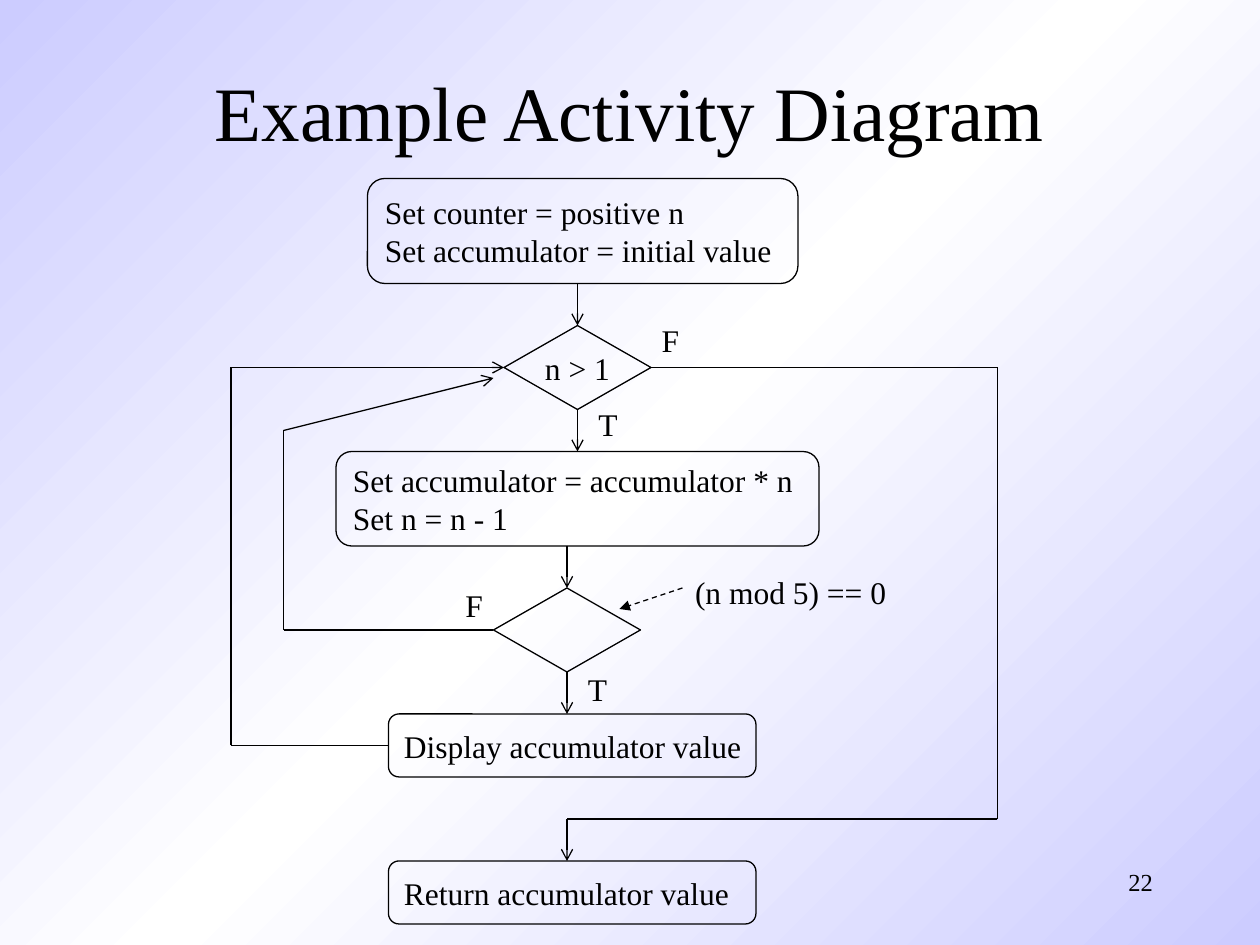
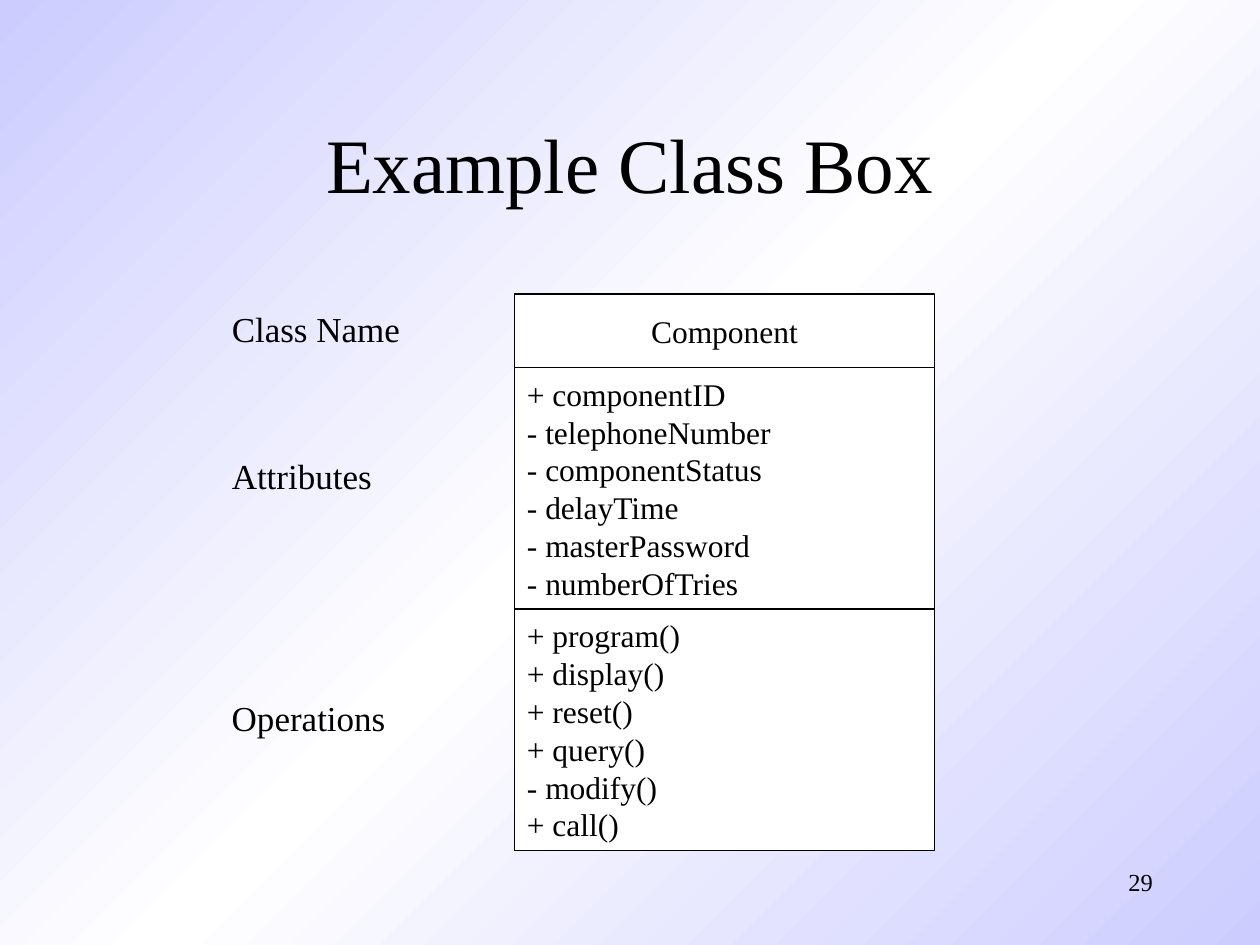
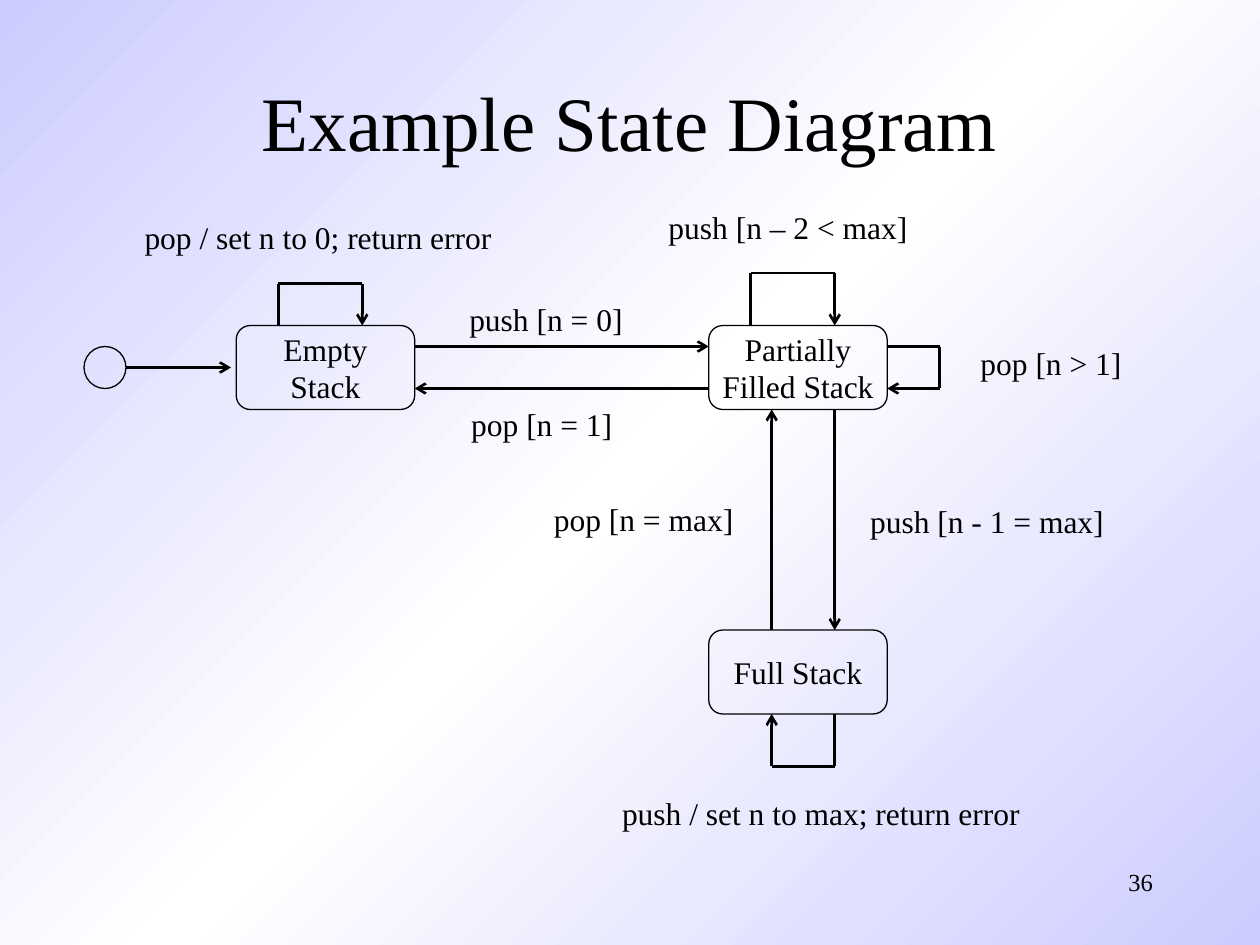
from copy import deepcopy
from dataclasses import dataclass
from itertools import pairwise

import lxml.etree
import pptx
import pptx.dml.color
import pptx.enum.dml
import pptx.enum.shapes
import pptx.enum.text
import pptx.oxml.ns
import pptx.presentation
import pptx.shapes.base
import pptx.slide
import pptx.text.text
import pptx.util

RGBColor = pptx.dml.color.RGBColor
Shape = pptx.enum.shapes.MSO_SHAPE
Align = pptx.enum.text.PP_ALIGN
Anchor = pptx.enum.text.MSO_ANCHOR
AutoSize = pptx.enum.text.MSO_AUTO_SIZE
qn = pptx.oxml.ns.qn

BLACK = RGBColor(0x00, 0x00, 0x00)
WHITE = RGBColor(0xFF, 0xFF, 0xFF)
LAVENDER = RGBColor(0xCC, 0xCC, 0xFF)
FONT = "Times New Roman"

WIDTH, HEIGHT = pptx.util.Inches(10), pptx.util.Inches(7.5)
COLUMNS, ROWS = 120, 90
Point = tuple[float, float]


@dataclass(frozen=True)
class Node:
    kind: Shape
    col: float
    row: float
    cols: float
    rows: float
    text: str = ""
    align: Align = Align.CENTER
    fill: RGBColor | None = None


@dataclass(frozen=True)
class Label:
    text: str
    col: float
    row: float
    cols: float
    size: int = 18
    rows: float = 4.8


@dataclass(frozen=True)
class Route:
    points: tuple[Point, ...]
    arrow: str = "arrow"
    dashed: bool = False


def x(col: float) -> int:
    return round(WIDTH * col / COLUMNS)


def y(row: float) -> int:
    return round(HEIGHT * row / ROWS)


def area(col: float, row: float, cols: float, rows: float) -> tuple[int, int, int, int]:
    return x(col), y(row), x(cols), y(rows)


def write(tf: pptx.text.text.TextFrame, text: str, *, size: int = 18,
          align: Align = Align.CENTER, anchor: Anchor = Anchor.MIDDLE,
          wrap: bool = False, auto_size: AutoSize = AutoSize.NONE) -> None:
    tf.text = text
    tf.word_wrap = wrap
    tf.auto_size = auto_size
    tf.vertical_anchor = anchor
    for p in tf.paragraphs:
        p.alignment = align
        for r in p.runs:
            r.font.name = FONT
            r.font.size = pptx.util.Pt(size)
            r.font.color.rgb = BLACK


def paint_background(master: pptx.slide.SlideMaster) -> None:
    fill = master.background.fill
    fill.gradient()
    fill.gradient_angle = 315
    stops = next(master.element.iter(qn("a:gsLst")))
    stops.append(deepcopy(stops[0]))
    for stop, position, color in zip(fill.gradient_stops, (0, 0.5, 1),
                                     (LAVENDER, WHITE, LAVENDER)):
        stop.position = position
        stop.color.rgb = color


def add_slide(prs: pptx.presentation.Presentation, title: str,
              title_row: float, number: int) -> pptx.slide.Slide:
    slide = prs.slides.add_slide(prs.slide_layouts[5])
    sp = slide.shapes.title
    sp.left, sp.top, sp.width, sp.height = area(9, title_row, 102, 15)
    write(sp.text_frame, title, size=44, wrap=True)
    sp = slide.shapes.add_textbox(*area(86, 82, 25, 6))
    write(sp.text_frame, str(number), size=14, align=Align.RIGHT,
          anchor=Anchor.TOP, wrap=True)
    return slide


def draw_node(shapes, node: Node) -> pptx.shapes.base.BaseShape:
    sp = shapes.add_shape(node.kind, *area(node.col, node.row, node.cols, node.rows))
    sp.shadow.inherit = False
    if node.fill is None:
        sp.fill.background()
    else:
        sp.fill.solid()
        sp.fill.fore_color.rgb = node.fill
    sp.line.color.rgb = BLACK
    sp.line.width = pptx.util.Pt(0.75)
    if node.text:
        write(sp.text_frame, node.text, align=node.align)
    return sp


def draw_label(slide: pptx.slide.Slide, label: Label) -> None:
    sp = slide.shapes.add_textbox(*area(label.col, label.row, label.cols, label.rows))
    write(sp.text_frame, label.text, size=label.size, anchor=Anchor.TOP,
          auto_size=AutoSize.SHAPE_TO_FIT_TEXT)


def side_middles(node: Node) -> tuple[Point, ...]:
    middle, centre = node.col + node.cols / 2, node.row + node.rows / 2
    return ((middle, node.row), (node.col, centre),
            (middle, node.row + node.rows), (node.col + node.cols, centre))


def draw_route(slide: pptx.slide.Slide, route: Route, weight: float, joints: dict) -> None:
    for start, end in pairwise(route.points):
        line = slide.shapes.add_connector(
            pptx.enum.shapes.MSO_CONNECTOR.STRAIGHT,
            x(start[0]), y(start[1]), x(end[0]), y(end[1]))
        if start in joints:
            line.begin_connect(*joints[start])
        if end in joints:
            line.end_connect(*joints[end])
        line.line.color.rgb = BLACK
        line.line.width = pptx.util.Pt(weight)
        if route.dashed:
            line.line.dash_style = pptx.enum.dml.MSO_LINE.DASH
        if end == route.points[-1]:
            ln = next(line.element.iter(qn("a:ln")))
            lxml.etree.SubElement(ln, qn("a:tailEnd"), type=route.arrow)
        lxml.etree.SubElement(line.element.spPr, qn("a:effectLst"))


def draw_diagram(slide: pptx.slide.Slide, nodes: list[Node], routes: list[Route],
                 labels: list[Label], weight: float) -> None:
    joints = {}
    for node in nodes:
        sp = draw_node(slide.shapes, node)
        if node.kind != Shape.OVAL:
            joints |= {pt: (sp, site) for site, pt in enumerate(side_middles(node))}
    for route in routes:
        draw_route(slide, route, weight, joints)
    for label in labels:
        draw_label(slide, label)


def activity(col: float, row: float, cols: float, rows: float, text: str) -> Node:
    return Node(Shape.ROUNDED_RECTANGLE, col, row, cols, rows, text, Align.LEFT)


def decision(col: float, row: float, text: str = "") -> Node:
    return Node(Shape.FLOWCHART_DECISION, col, row, 14, 8, text)


def state(col: float, row: float, text: str) -> Node:
    return Node(Shape.FLOWCHART_ALTERNATE_PROCESS, col, row, 17, 8, text)


def build_activity_diagram(prs: pptx.presentation.Presentation) -> None:
    slide = add_slide(prs, "Example Activity Diagram", 3, 22)
    nodes = [
        activity(35, 17, 41, 10, "Set counter = positive n\nSet accumulator = initial value"),
        decision(48, 31, "n > 1"),
        activity(32, 43, 46, 9, "Set accumulator = accumulator * n\nSet n = n - 1"),
        decision(47, 56),
        activity(37, 68, 35, 6, "Display accumulator value"),
        activity(37, 82, 35, 6, "Return accumulator value"),
    ]
    routes = [
        Route(((55, 27), (55, 31))),
        Route(((55, 39), (55, 43))),
        Route(((54, 52), (54, 56))),
        Route(((54, 64), (54, 68))),
        Route(((65, 56), (59, 58)), "triangle", dashed=True),
        Route(((37, 71), (22, 71), (22, 35), (48, 35))),
        Route(((47, 60), (27, 60), (27, 41), (47, 36))),
        Route(((62, 35), (95, 35), (95, 78), (54, 78), (54, 82))),
    ]
    labels = [
        Label("(n mod 5) == 0", 64.7, 54, 21.2),
        Label("T", 55.5, 38, 4.8),
        Label("F", 61.5, 30, 4.7),
        Label("T", 54.5, 63.2, 4.8),
        Label("F", 42.8, 55.2, 4.7),
    ]
    draw_diagram(slide, nodes, routes, labels, 0.75)


def build_class_box(prs: pptx.presentation.Presentation) -> None:
    slide = add_slide(prs, "Example Class Box", 8, 29)
    attributes = ("+ componentID\n- telephoneNumber\n- componentStatus\n"
                  "- delayTime\n- masterPassword\n- numberOfTries")
    operations = ("+ program()\n+ display()\n+ reset()\n"
                  "+ query()\n- modify()\n+ call()")
    compartments = [("Component", 7, Align.CENTER), (attributes, 23, Align.LEFT),
                    (operations, 23, Align.LEFT)]
    group = slide.shapes.add_group_shape()
    row = 28
    for text, rows, align in compartments:
        draw_node(group.shapes, Node(Shape.RECTANGLE, 49, row, 40, rows, text, align, WHITE))
        row += rows
    for text, top, cols in (("Class Name", 28.7, 19.2), ("Attributes", 42.7, 16.5),
                            ("Operations", 65.7, 17.8)):
        draw_label(slide, Label(text, 20.5, top, cols, size=20, rows=5.3))


def build_state_diagram(prs: pptx.presentation.Presentation) -> None:
    slide = add_slide(prs, "Example State Diagram", 4, 36)
    nodes = [
        state(22.5, 31, "Empty\nStack"),
        state(67.5, 31, "Partially\nFilled Stack"),
        state(67.5, 60, "Full Stack"),
        Node(Shape.OVAL, 8, 33, 4, 4),
    ]
    routes = [
        Route(((12, 35), (22, 35))),
        Route(((39.5, 33), (67.5, 33))),
        Route(((67.5, 37), (39.5, 37))),
        Route(((73.5, 60), (73.5, 39))),
        Route(((79.5, 39), (79.5, 60))),
        Route(((26.5, 31), (26.5, 27), (34.5, 27), (34.5, 31))),
        Route(((71.5, 31), (71.5, 26), (79.5, 26), (79.5, 31))),
        Route(((84.5, 33), (89.5, 33), (89.5, 37), (84.5, 37))),
        Route(((79.5, 68), (79.5, 73), (73.5, 73), (73.5, 68))),
    ]
    labels = [
        Label("push [n = 0]", 43, 28, 18),
        Label("pop [n = 1]", 43.1, 38, 17),
        Label("push [n - 1 = max]", 81, 47.2, 26),
        Label("push [n – 2 < max]", 62, 19.2, 26.1),
        Label("pop [n > 1]", 91.6, 32.2, 17),
        Label("pop [n = max]", 50.8, 47, 21),
        Label("pop / set n to 0; return error", 11.8, 20.2, 37),
        Label("push / set n to max; return error", 57.2, 75, 42),
    ]
    draw_diagram(slide, nodes, routes, labels, 1.5)


def main() -> None:
    prs = pptx.Presentation()
    prs.slide_width, prs.slide_height = WIDTH, HEIGHT
    paint_background(prs.slide_master)
    build_activity_diagram(prs)
    build_class_box(prs)
    build_state_diagram(prs)
    prs.save("out.pptx")


if __name__ == "__main__":
    main()
